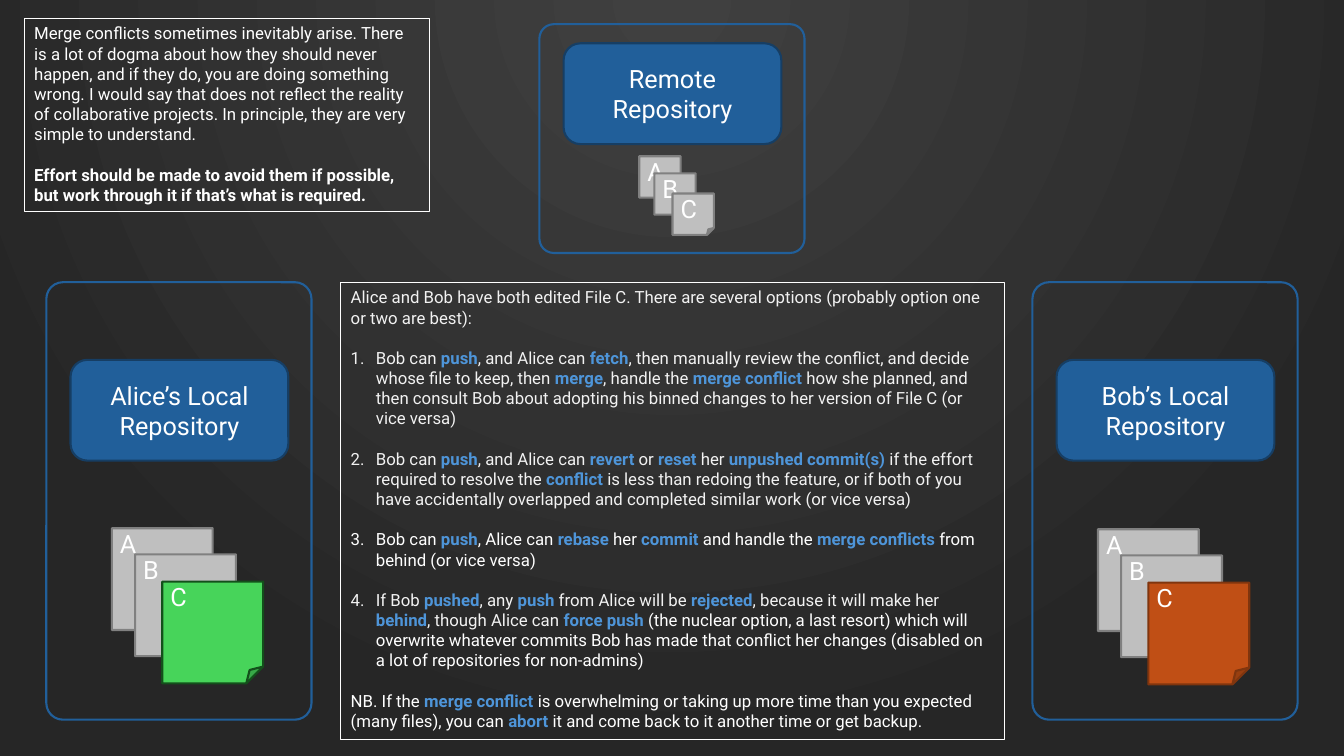
from pptx import Presentation
from pptx.dml.color import RGBColor
from pptx.enum.shapes import MSO_SHAPE as Preset
from pptx.enum.text import MSO_ANCHOR as Anchor, MSO_AUTO_SIZE as AutoSize, PP_ALIGN as Align
from pptx.oxml import parse_xml
from pptx.oxml.ns import nsdecls
from pptx.util import Inches, Pt

FONT = "Roboto"
WHITE, PALE, KEYWORD = "FFFFFF", "F2F2F2", "4E95D9"
BLUE, NAVY = "215F9A", "163E64"
GREY_FILE = ("BFBFBF", "808080")
GREEN_FILE = ("47D45A", "13501B")
ORANGE_FILE = ("C04F15", "80350E")
LINE_GAP = 14.4

INTRO = [
    dict(text="Merge conflicts sometimes inevitably arise. There is a lot of dogma about how they "
              "should never happen, and if they do, you are doing something wrong. I would say that "
              "does not reflect the reality of collaborative projects. In principle, they are very "
              "simple to understand."),
    dict(text="Effort should be made to avoid them if possible, but work through it if that’s what "
              "is required.", bold=True),
]
# Keywords stand between asterisks.
OPTIONS = [
    dict(text="Alice and Bob have both edited File C. There are several options (probably option "
              "one or two are best):", color=PALE),
    dict(text="Bob can *push*, and Alice can *fetch*, then manually review the conflict, and decide "
              "whose file to keep, then *merge*, handle the *merge conflict *how she planned, and "
              "then consult Bob about adopting his binned changes to her version of File C (or vice "
              "versa)", color=PALE, numbered=True),
    dict(text="Bob can *push*, and Alice can *revert *or *reset *her *unpushed commit(s) *if the "
              "effort required to resolve the *conflict *is less than redoing the feature, or if "
              "both of you have accidentally overlapped and completed similar work (or vice versa)",
         color=PALE, numbered=True),
    dict(text="Bob can *push*, Alice can *rebase *her *commit *and handle the *merge conflicts *from "
              "behind (or vice versa)", numbered=True),
    dict(text="If Bob *pushed*, any *push* from Alice will be *rejected*, because it will make her "
              "*behind*, though Alice can *force push *(the nuclear option, a last resort) which "
              "will overwrite whatever commits Bob has made that conflict her changes (disabled on a "
              "lot of repositories for non-admins)", color=PALE, tail_color=WHITE, numbered=True),
    dict(text="NB. If the *merge conflict *is overwhelming or taking up more time than you expected "
              "(many files), you can *abort* it and come back to it another time or get backup."),
]


def rgb(value):
    return RGBColor.from_string(value)


def add_span(para, text, size=12, color=WHITE, bold=False):
    span = para.add_run()
    span.text = text
    span.font.name = FONT
    span.font.size = Pt(size)
    span.font.bold = bold
    span.font.color.rgb = rgb(color)


def write_para(para, text, color=WHITE, tail_color=None, bold=False, numbered=False):
    """Write text whose keywords are marked by asterisks."""
    pieces = text.split("*")
    for index, piece in enumerate(pieces):
        is_keyword = index % 2 == 1
        plain = tail_color if tail_color and index == len(pieces) - 1 else color
        add_span(para, piece, color=KEYWORD if is_keyword else plain, bold=bold or is_keyword)
    if numbered:
        props = para._p.get_or_add_pPr()
        props.set("marL", str(Inches(0.25)))
        props.set("indent", str(-Inches(0.25)))
        props.append(parse_xml(f'<a:buAutoNum {nsdecls("a")} type="arabicPeriod"/>'))


def add_note(page, left, top, width, height, paragraphs):
    box = page.shapes.add_textbox(Inches(left), Inches(top), Inches(width), Inches(height))
    box.line.color.rgb = rgb(WHITE)
    box.line.width = Pt(0.75)
    frame = box.text_frame
    frame.word_wrap = True
    frame.auto_size = AutoSize.SHAPE_TO_FIT_TEXT
    for index, content in enumerate(paragraphs):
        para = frame.add_paragraph() if index else frame.paragraphs[0]
        para.space_before = Pt(LINE_GAP if index else 0)
        write_para(para, **content)


def add_block(page, preset, left, top, width, height, fill, line):
    block = page.shapes.add_shape(preset, Inches(left), Inches(top), Inches(width), Inches(height))
    block.shadow.inherit = False
    if fill:
        block.fill.solid()
        block.fill.fore_color.rgb = rgb(fill)
    else:
        block.fill.background()
    block.line.color.rgb = rgb(line)
    block.line.width = Pt(1.5)
    return block


def add_file(page, left, top, width, height, letter, colors):
    sheet = add_block(page, Preset.FOLDED_CORNER, left, top, width, height, *colors)
    frame = sheet.text_frame
    frame.vertical_anchor = Anchor.TOP
    frame.margin_left, frame.margin_bottom = Inches(0.08), Inches(0.05)
    frame.margin_top = frame.margin_right = 0
    para = frame.paragraphs[0]
    para.alignment = Align.LEFT
    add_span(para, letter, size=18)


def add_repository(page, left, top, height, owner, button_drop, stack, file_size, shifts,
                   last_colors=GREY_FILE):
    """Draw a framed repository: name button and overlapping files A to C."""
    for letter, (right, down) in zip("ABC", shifts):
        add_file(page, left + stack[0] + right, top + stack[1] + down, *file_size, letter,
                 last_colors if letter == "C" else GREY_FILE)
    button = add_block(page, Preset.ROUNDED_RECTANGLE, left + 0.24, top + button_drop,
                       2.16, 1, BLUE, NAVY)
    button.text_frame.vertical_anchor = Anchor.MIDDLE
    para = button.text_frame.paragraphs[0]
    para.alignment = Align.CENTER
    add_span(para, owner, size=18)
    para.add_line_break()
    add_span(para, "Repository", size=18)
    panel = add_block(page, Preset.ROUNDED_RECTANGLE, left, top, 2.63, height, None, BLUE)
    panel.adjustments[0] = 0.063


def set_background(page):
    """Lay a round gradient whose centre lies above the page."""
    page.element.cSld.insert(0, parse_xml(
        f'<p:bg {nsdecls("p", "a")}><p:bgPr><a:gradFill rotWithShape="1"><a:gsLst>'
        '<a:gs pos="0"><a:srgbClr val="404040"/></a:gs>'
        '<a:gs pos="100000"><a:srgbClr val="262626"/></a:gs></a:gsLst>'
        '<a:path path="circle"><a:fillToRect l="50000" t="-80000" r="50000" b="180000"/></a:path>'
        '</a:gradFill><a:effectLst/></p:bgPr></p:bg>'))


def main():
    deck = Presentation()
    deck.slide_width, deck.slide_height = Inches(13.33), Inches(7.5)
    page = deck.slides.add_slide(deck.slide_layouts[6])
    set_background(page)

    add_note(page, 0.24, 0.18, 4.02, 1.92, INTRO)
    add_repository(page, 5.35, 0.24, 2.27, "Remote", 0.19, (0.99, 1.31), (0.41, 0.41),
                   [(0, 0), (0.15, 0.17), (0.33, 0.37)])
    for left, owner, stack_top, colors in [(0.46, "Alice’s Local", 2.44, GREEN_FILE),
                                           (10.24, "Bob’s Local", 2.45, ORANGE_FILE)]:
        add_repository(page, left, 2.8, 4.34, owner, 0.77, (0.65, stack_top), (1, 1.01),
                       [(0, 0), (0.23, 0.26), (0.5, 0.53)], colors)
    add_note(page, 3.38, 2.8, 6.58, 4.54, OPTIONS)
    deck.save("out.pptx")


if __name__ == "__main__":
    main()
